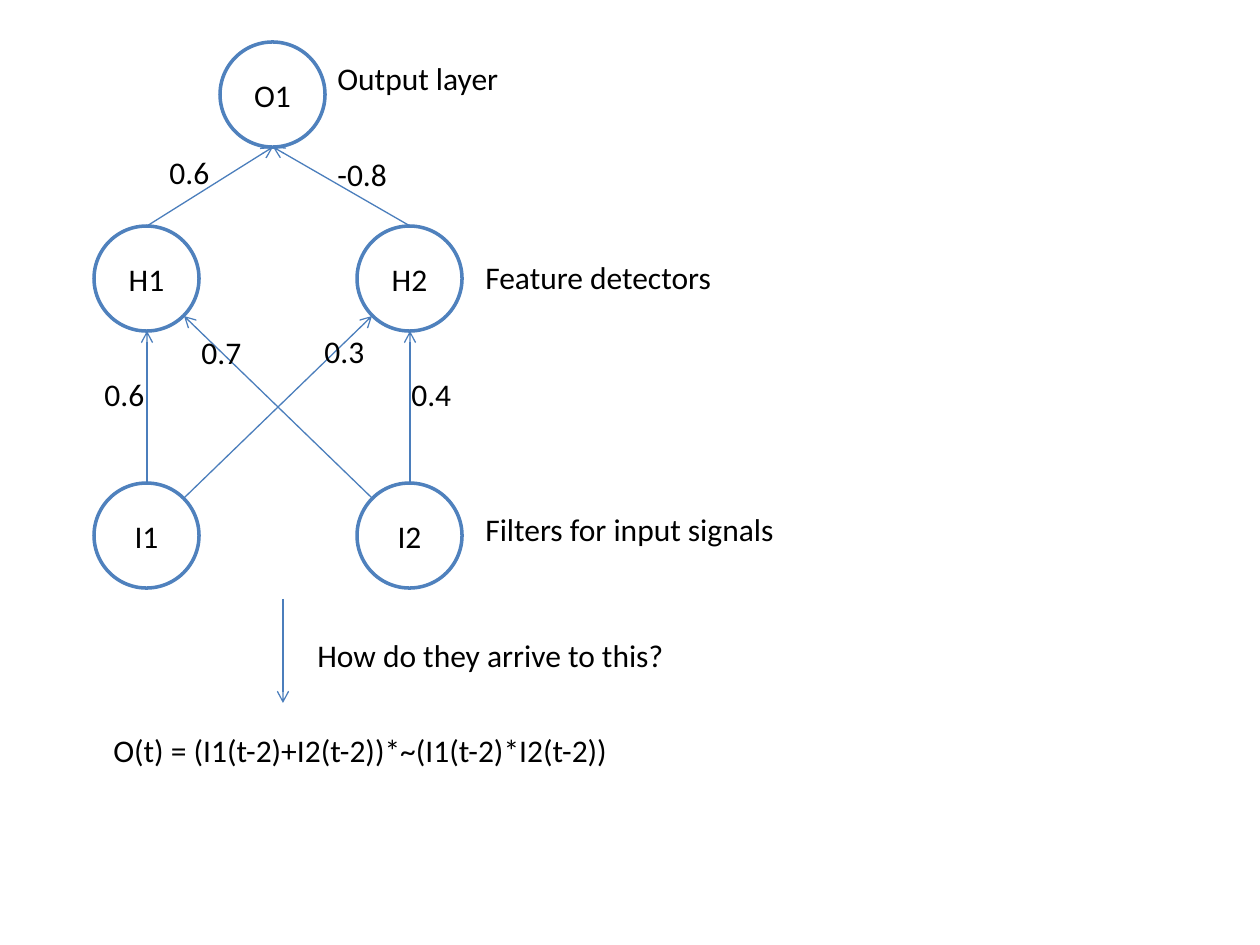
import pptx
import pptx.util
import pptx.dml.color
import pptx.enum.shapes
import pptx.enum.text
import pptx.oxml.ns
import lxml.etree

PIXEL = 914400 / 126
THEME = {
    "font": "Calibri",
    "size": pptx.util.Pt(18),
    "text": pptx.dml.color.RGBColor.from_string("000000"),
    "node_fill": pptx.dml.color.RGBColor.from_string("FFFFFF"),
    "node_line": pptx.dml.color.RGBColor.from_string("4F81BD"),
    "arrow": pptx.dml.color.RGBColor.from_string("4B7EBC"),
    "node_width": pptx.util.Pt(2),
    "arrow_width": pptx.util.Pt(0.75),
}


def emu(*pixels):
    return [pptx.util.Emu(round(pixel * PIXEL)) for pixel in pixels]


def write(shape, text):
    run = shape.text_frame.paragraphs[0].add_run()
    run.text = text
    run.font.name = THEME["font"]
    run.font.size = THEME["size"]
    run.font.color.rgb = THEME["text"]


presentation = pptx.Presentation()
presentation.slide_width, presentation.slide_height = emu(1260, 945)
slide = presentation.slides.add_slide(presentation.slide_layouts[6])

# Neurons, placed by their top left corner
DIAMETER = 105
neurons = {
    "O1": (220, 42),
    "H2": (357, 226),
    "H1": (94, 226),
    "I2": (357, 483),
    "I1": (94, 483),
}
anchors = {}
for name, (left, top) in neurons.items():
    neuron = slide.shapes.add_shape(
        pptx.enum.shapes.MSO_SHAPE.OVAL, *emu(left, top, DIAMETER, DIAMETER))
    neuron.shadow.inherit = False
    neuron.fill.solid()
    neuron.fill.fore_color.rgb = THEME["node_fill"]
    neuron.line.color.rgb = THEME["node_line"]
    neuron.line.width = THEME["node_width"]
    neuron.text_frame.vertical_anchor = pptx.enum.text.MSO_ANCHOR.MIDDLE
    neuron.text_frame.paragraphs[0].alignment = pptx.enum.text.PP_ALIGN.CENTER
    write(neuron, name)

    # Points on the rim where arrows meet the neuron
    near, middle, far = 15, 53, DIAMETER - 15
    anchors[name] = {
        "top": (left + middle, top),
        "bottom": (left + middle, top + DIAMETER),
        "top left": (left + near, top + near),
        "top right": (left + far, top + near),
        "bottom left": (left + near, top + far),
        "bottom right": (left + far, top + far),
    }

# Arrows between the layers, and one down to the formula
links = [
    ("I1", "top right", "H2", "bottom left"),
    ("I2", "top left", "H1", "bottom right"),
    ("I1", "top", "H1", "bottom"),
    ("I2", "top", "H2", "bottom"),
    ("H2", "top", "O1", "bottom"),
    ("H1", "top", "O1", "bottom"),
]
arrows = [(anchors[source][start], anchors[target][end])
          for source, start, target, end in links]
arrows.append(((283, 599), (283, 703)))
for start, end in arrows:
    arrow = slide.shapes.add_connector(
        pptx.enum.shapes.MSO_CONNECTOR.STRAIGHT, *emu(*start, *end))
    arrow.line.color.rgb = THEME["arrow"]
    arrow.line.width = THEME["arrow_width"]
    head = lxml.etree.SubElement(
        arrow.line._get_or_add_ln(), pptx.oxml.ns.qn("a:tailEnd"))
    head.set("type", "arrow")
    lxml.etree.SubElement(
        arrow._element.spPr, pptx.oxml.ns.qn("a:effectLst"))

# Weights, layer names and formula: left, top, width, text
LABEL_HEIGHT = 51
labels = [
    (157, 147, 66, "0.6"),
    (325, 149, 76, "-0.8"),
    (399, 369, 66, "0.4"),
    (92, 369, 66, "0.6"),
    (312, 326, 66, "0.3"),
    (189, 327, 66, "0.7"),
    (101, 725, 529, "O(t) = (I1(t-2)+I2(t-2))*~(I1(t-2)*I2(t-2))"),
    (473, 252, 253, "Feature detectors"),
    (473, 504, 318, "Filters for input signals"),
    (325, 53, 188, "Output layer"),
    (305, 630, 375, "How do they arrive to this?"),
]
for left, top, width, text in labels:
    label = slide.shapes.add_textbox(*emu(left, top, width, LABEL_HEIGHT))
    label.text_frame.word_wrap = False
    label.text_frame.auto_size = pptx.enum.text.MSO_AUTO_SIZE.SHAPE_TO_FIT_TEXT
    write(label, text)

presentation.save("out.pptx")
